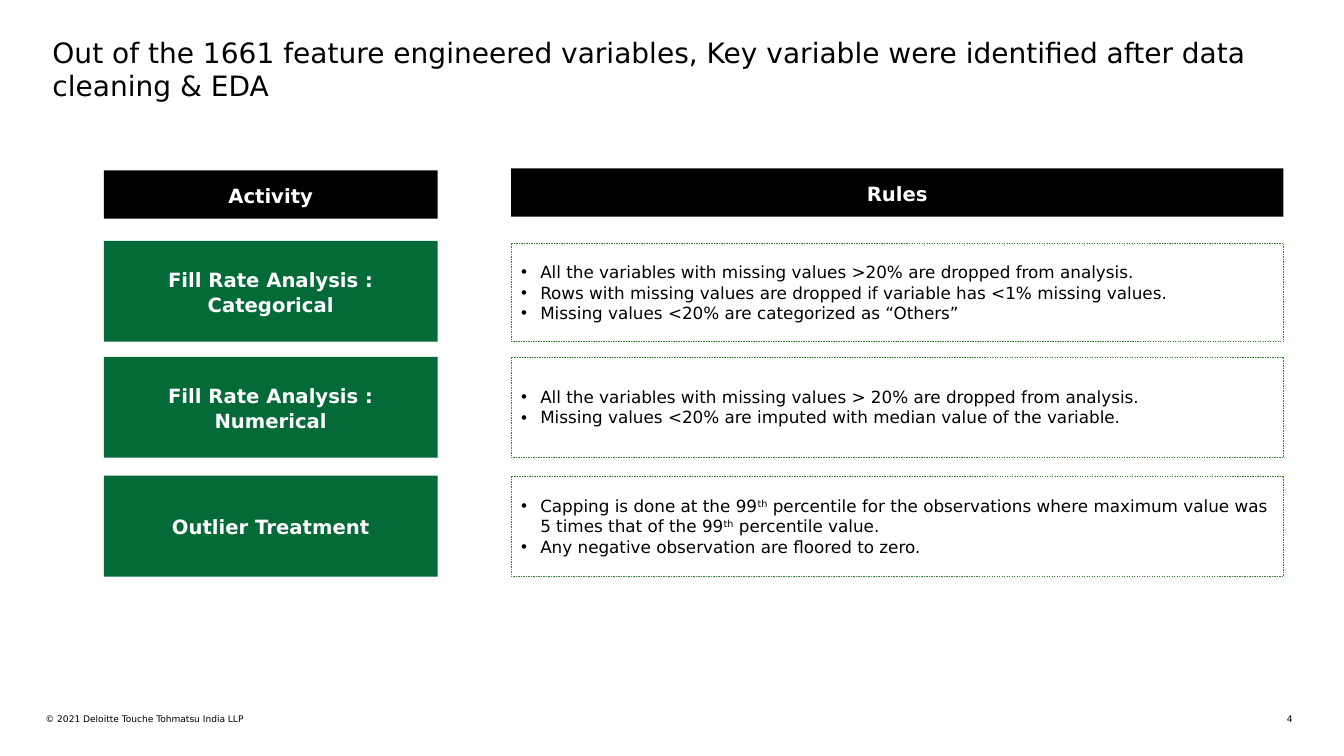
from pptx import Presentation
from pptx.dml.color import RGBColor
from pptx.enum.dml import MSO_LINE
from pptx.enum.shapes import MSO_SHAPE as SHAPE
from pptx.enum.text import MSO_ANCHOR as ANCHOR, MSO_AUTO_SIZE as AUTO, PP_ALIGN as ALIGN
from pptx.oxml.ns import qn
from pptx.util import Inches, Pt
from lxml.etree import SubElement

FONT = "DejaVu Sans"
BLACK, WHITE, GREEN, BORDER = "000000", "FFFFFF", "046A38", "377D33"
LEFT_X, LEFT_W = 1.03, 3.31
RIGHT_X, RIGHT_W = 5.07, 7.66
HEADER_H, ROW_H = 0.48, 1

ROWS = [
    (2.39, 2.41, 0.98, "Fill Rate Analysis : Categorical", 1.06, [
        "All the variables with missing values >20% are dropped from analysis.",
        "Rows with missing values are dropped if variable has <1% missing values.",
        "Missing values <20% are categorized as “Others”",
    ]),
    (3.54, 3.54, ROW_H, "Fill Rate Analysis : Numerical", 1.06, [
        "All the variables with missing values > 20% are dropped from analysis.",
        "Missing values <20% are imputed with median value of the variable.",
    ]),
    (4.72, 4.72, ROW_H, "Outlier Treatment", 1, [
        "Capping is done at the 99^th^ percentile for the observations where maximum "
        "value was 5 times that of the 99^th^ percentile value.",
        "Any negative observation are floored to zero.",
    ]),
]


def rgb(value):
    return RGBColor.from_string(value)


def write(p, text, size=12, color=BLACK, bold=False, align=ALIGN.LEFT,
          spacing=None, bullet=False):
    if bullet:
        pPr = p._p.get_or_add_pPr()
        pPr.set("marL", str(Inches(0.19)))
        pPr.set("indent", str(Inches(-0.19)))
        SubElement(pPr, qn("a:buFont"), typeface="Arial")
        SubElement(pPr, qn("a:buChar"), char="•")
    p.alignment = align
    if spacing:
        p.line_spacing = spacing
    for i, part in enumerate(text.split("^")):
        r = p.add_run()
        r.text = part
        r.font.name, r.font.size, r.font.bold = FONT, Pt(size), bold
        r.font.color.rgb = rgb(color)
        if i % 2:
            r._r.get_or_add_rPr().set("baseline", "30000")


class SlideBuilder:
    def __init__(self, prs):
        self.s = prs.slides.add_slide(prs.slide_layouts[5])

    def frame(self, sp, margins, anchor):
        tf = sp.text_frame
        tf.word_wrap, tf.auto_size = True, AUTO.NONE
        tf.vertical_anchor = anchor
        (tf.margin_left, tf.margin_top,
         tf.margin_right, tf.margin_bottom) = map(Inches, margins)
        return tf

    def title(self, x, y, w, h, text):
        sp = self.s.shapes.title
        sp.left, sp.top, sp.width, sp.height = map(Inches, (x, y, w, h))
        tf = self.frame(sp, (0, 0, 0, 0), ANCHOR.TOP)
        write(tf.paragraphs[0], text, size=20)

    def label(self, x, y, w, h, text, align=ALIGN.LEFT):
        sp = self.s.shapes.add_textbox(*map(Inches, (x, y, w, h)))
        tf = self.frame(sp, (0, 0, 0, 0), ANCHOR.TOP)
        write(tf.paragraphs[0], text, size=6.5, align=align)

    def rectangle(self, x, y, w, h):
        sp = self.s.shapes.add_shape(SHAPE.RECTANGLE, *map(Inches, (x, y, w, h)))
        sp.shadow.inherit = False
        return sp

    def block(self, x, y, w, h, text, fill, spacing=1.06):
        sp = self.rectangle(x, y, w, h)
        sp.fill.solid()
        sp.fill.fore_color.rgb = rgb(fill)
        sp.line.fill.background()
        tf = self.frame(sp, (0.1, 0.1, 0.1, 0.1), ANCHOR.MIDDLE)
        write(tf.paragraphs[0], text, size=14, color=WHITE, bold=True,
              align=ALIGN.CENTER, spacing=spacing)

    def rules(self, x, y, w, h, items):
        sp = self.rectangle(x, y, w, h)
        sp.fill.background()
        sp.line.color.rgb = rgb(BORDER)
        sp.line.width = Pt(0.25)
        sp.line.dash_style = MSO_LINE.DASH
        tf = self.frame(sp, (0.1, 0.05, 0.1, 0.05), ANCHOR.MIDDLE)
        for i, item in enumerate(items):
            p = tf.add_paragraph() if i else tf.paragraphs[0]
            write(p, item, bullet=True)


def main():
    prs = Presentation()
    prs.slide_width, prs.slide_height = Inches(13.33), Inches(7.5)
    slide = SlideBuilder(prs)
    slide.title(0.52, 0.35, 12.21, 0.63,
                "Out of the 1661 feature engineered variables, Key variable were "
                "identified after data cleaning & EDA")
    slide.block(LEFT_X, 1.69, LEFT_W, HEADER_H, "Activity", BLACK)
    slide.block(RIGHT_X, 1.67, RIGHT_W, HEADER_H, "Rules", BLACK)
    for activity_y, rules_y, rules_h, activity, spacing, items in ROWS:
        slide.block(LEFT_X, activity_y, LEFT_W, ROW_H, activity, GREEN, spacing)
        slide.rules(RIGHT_X, rules_y, RIGHT_W, rules_h, items)
    slide.label(0.45, 7.08, 4.76, 0.11, "© 2021 Deloitte Touche Tohmatsu India LLP")
    slide.label(12.48, 7.08, 0.34, 0.11, "4", align=ALIGN.RIGHT)
    prs.save("out.pptx")


if __name__ == "__main__":
    main()
